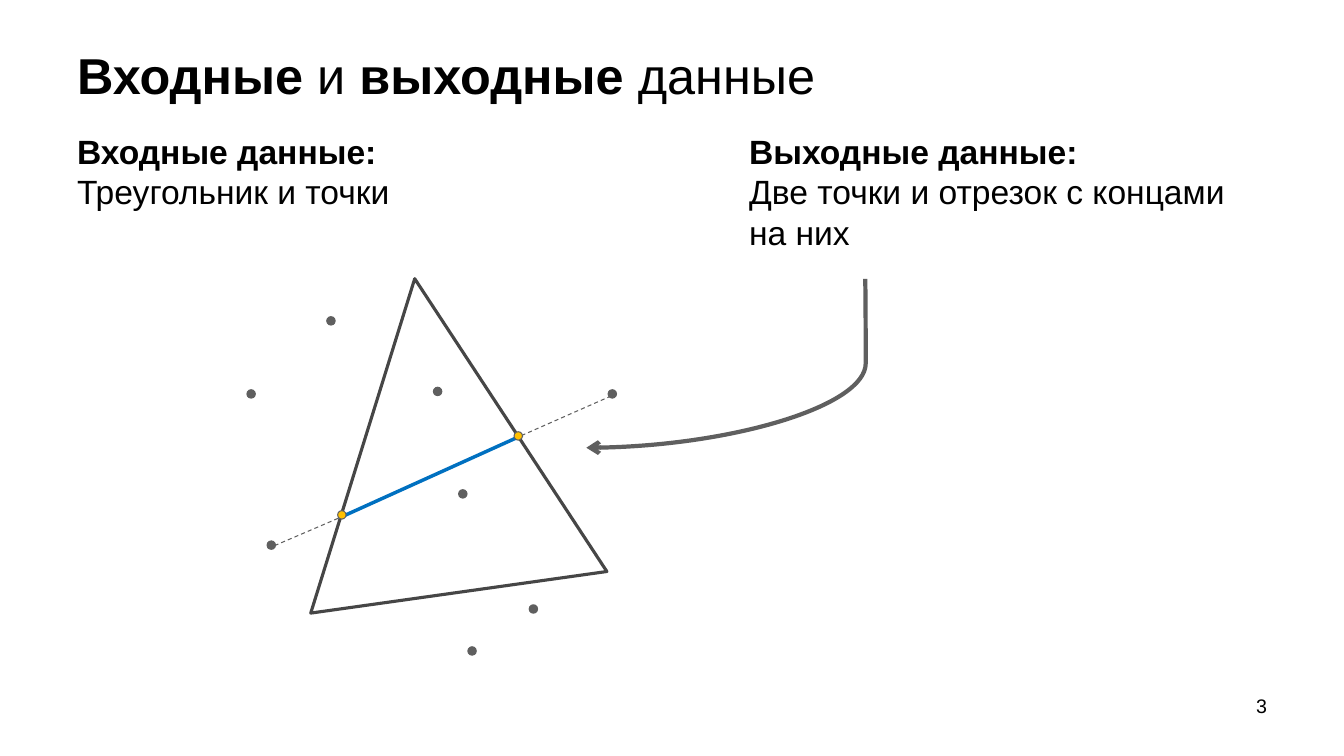
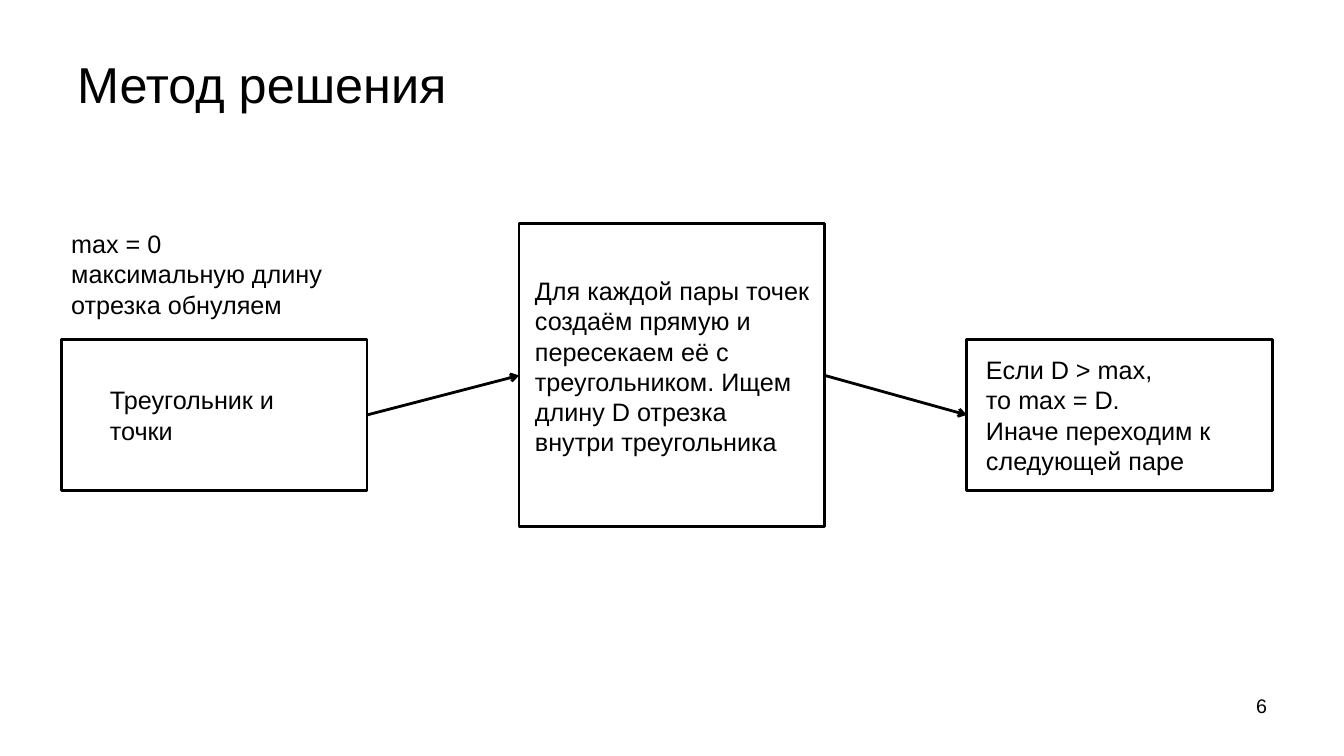
import pptx
import pptx.util
import pptx.dml.color
import pptx.enum.dml
import pptx.enum.shapes
import pptx.enum.text
import pptx.oxml.ns
import lxml.etree

COLORS = {"white": "FFFFFF", "ink": "000000", "grey": "5F5F5F",
          "outline": "464646", "blue": "0070C0", "gold": "FFC000"}
FONT = "Arial"
TITLE_SIZE, LEAD_SIZE, BODY_SIZE, NUMBER_SIZE = 36, 24, 18, 14
PRESETS = pptx.enum.shapes.MSO_SHAPE
LINKS = pptx.enum.shapes.MSO_CONNECTOR
ANCHORS = pptx.enum.text.MSO_ANCHOR
ALIGNS = pptx.enum.text.PP_ALIGN
RGB = {name: pptx.dml.color.RGBColor.from_string(code) for name, code in COLORS.items()}

deck = pptx.Presentation()
deck.slide_width = pptx.util.Inches(13.333)
deck.slide_height = pptx.util.Inches(7.5)
column = deck.slide_width / 160
row = deck.slide_height / 90


def write(page, box, paragraphs, size, anchor=ANCHORS.TOP, align=ALIGNS.LEFT):
    left, top, width, height = box
    frame = page.shapes.add_textbox(int(left * column), int(top * row),
                                    int(width * column), int(height * row)).text_frame
    frame.word_wrap = True
    frame.vertical_anchor = anchor
    for index, spans in enumerate(paragraphs):
        para = frame.add_paragraph() if index else frame.paragraphs[0]
        para.alignment = align
        for text, bold in spans:
            if len(spans) == 1:
                para.text = text
            else:
                para.add_run().text = text
            for span in para.runs if len(spans) == 1 else para.runs[-1:]:
                span.font.name = FONT
                span.font.size = pptx.util.Pt(size)
                span.font.bold = bold
                span.font.color.rgb = RGB["ink"]


def connect(page, start, end, color, weight, kind=LINKS.STRAIGHT, dashed=False, arrow=False):
    link = page.shapes.add_connector(kind, int(start[0] * column), int(start[1] * row),
                                     int(end[0] * column), int(end[1] * row))
    link.line.color.rgb = RGB[color]
    link.line.width = pptx.util.Pt(weight)
    if dashed:
        link.line.dash_style = pptx.enum.dml.MSO_LINE.DASH
    properties = link._element.spPr
    if arrow:
        head = lxml.etree.SubElement(properties.find(pptx.oxml.ns.qn("a:ln")),
                                     pptx.oxml.ns.qn("a:tailEnd"))
        head.set("type", "arrow")
    lxml.etree.SubElement(properties, pptx.oxml.ns.qn("a:effectLst"))
    return link


pages = []
for number, title, title_box in [
    ("3", [("Входные ", True), ("и ", False), ("выходные ", True), ("данные", False)],
     (8, 2.8, 144, 12.2)),
    ("6", [("Метод решения", False)], (8, 3.6, 144, 12.7)),
]:
    page = deck.slides.add_slide(deck.slide_layouts[6])
    page.background.fill.solid()
    page.background.fill.fore_color.rgb = RGB["white"]
    write(page, title_box, [title], TITLE_SIZE, anchor=ANCHORS.MIDDLE)
    write(page, (114.7, 82, 37.3, 6.2), [[(number, False)]], NUMBER_SIZE, align=ALIGNS.RIGHT)
    pages.append(page)
data_page, method_page = pages

for start, end in [((31.9, 65.3), (41.2, 61.3)), ((61.3, 52.2), (73.3, 46.9))]:
    connect(data_page, start, end, "grey", 0.75, dashed=True)
connect(data_page, (40.3, 61.7), (62.2, 51.8), "blue", 2.5)
pointer = connect(data_page, (103, 33.2), (69.8, 53.3), "grey", 3,
                  kind=LINKS.CURVE, arrow=True)
geometry = pointer._element.spPr.find(pptx.oxml.ns.qn("a:prstGeom"))
bends = geometry.find(pptx.oxml.ns.qn("a:avLst"))
if bends is None:
    bends = lxml.etree.SubElement(geometry, pptx.oxml.ns.qn("a:avLst"))
bend = lxml.etree.SubElement(bends, pptx.oxml.ns.qn("a:gd"))
bend.set("name", "adj1")
bend.set("fmla", "val -200")

for start, end in [((43.7, 49.4), (61.8, 44.7)), ((98.2, 44.7), (115.1, 49.4))]:
    connect(method_page, start, end, "ink", 2, arrow=True)

points = [(29.4, 46.4), (72.4, 46.4), (38.9, 37.7), (55.7, 77),
          (54.6, 58.3), (63, 72), (31.8, 64.4), (51.6, 46.1)]
crossings = [(61.2, 51.4), (40.2, 60.8)]
steps = [(7.3, 40.4, 36.4, 18), (61.8, 26.6, 36.4, 36.1), (115.1, 40.4, 36.4, 18)]

figures = [(data_page, PRESETS.ISOSCELES_TRIANGLE, (34.2, 33, 35.6, 37.7), None, "outline", 2.25, 352)]
for fill, dots in [("grey", points), ("gold", crossings)]:
    figures += [(data_page, PRESETS.OVAL, (*dot, 1, 1), fill, "grey", 0.75, 0) for dot in dots]
figures += [(method_page, PRESETS.RECTANGLE, step, None, "ink", 2, 0) for step in steps]

for page, preset, (left, top, width, height), fill, color, weight, turn in figures:
    figure = page.shapes.add_shape(preset, int(left * column), int(top * row),
                                   int(width * column), int(height * row))
    figure.shadow.inherit = False
    figure.rotation = turn
    figure.line.color.rgb = RGB[color]
    figure.line.width = pptx.util.Pt(weight)
    if fill:
        figure.fill.solid()
        figure.fill.fore_color.rgb = RGB[fill]
    else:
        figure.fill.background()

for box, heading, body in [
    ((8, 15, 72.1, 10.9), "Входные данные:", "Треугольник и точки"),
    ((88, 15, 64, 15.7), "Выходные данные:", "Две точки и отрезок с концами на них"),
]:
    write(data_page, box, [[(heading, True)], [(body, False)]], LEAD_SIZE)

for box, lines in [
    ((11.9, 45.2, 27.4, 8.5), ["Треугольник и точки"]),
    ((62.5, 32.2, 35.4, 23), ["Для каждой пары точек создаём прямую и пересекаем её с "
                              "треугольником. Ищем длину D отрезка внутри треугольника"]),
    ((116.2, 41.6, 34.2, 15.7), ["Если D > max,", "то max = D.",
                                 "Иначе переходим к следующей паре"]),
    ((7.3, 26.6, 33.8, 12.1), ["max = 0\vмаксимальную длину отрезка обнуляем"]),
]:
    write(method_page, box, [[(line, False)] for line in lines], BODY_SIZE)

deck.save("out.pptx")
